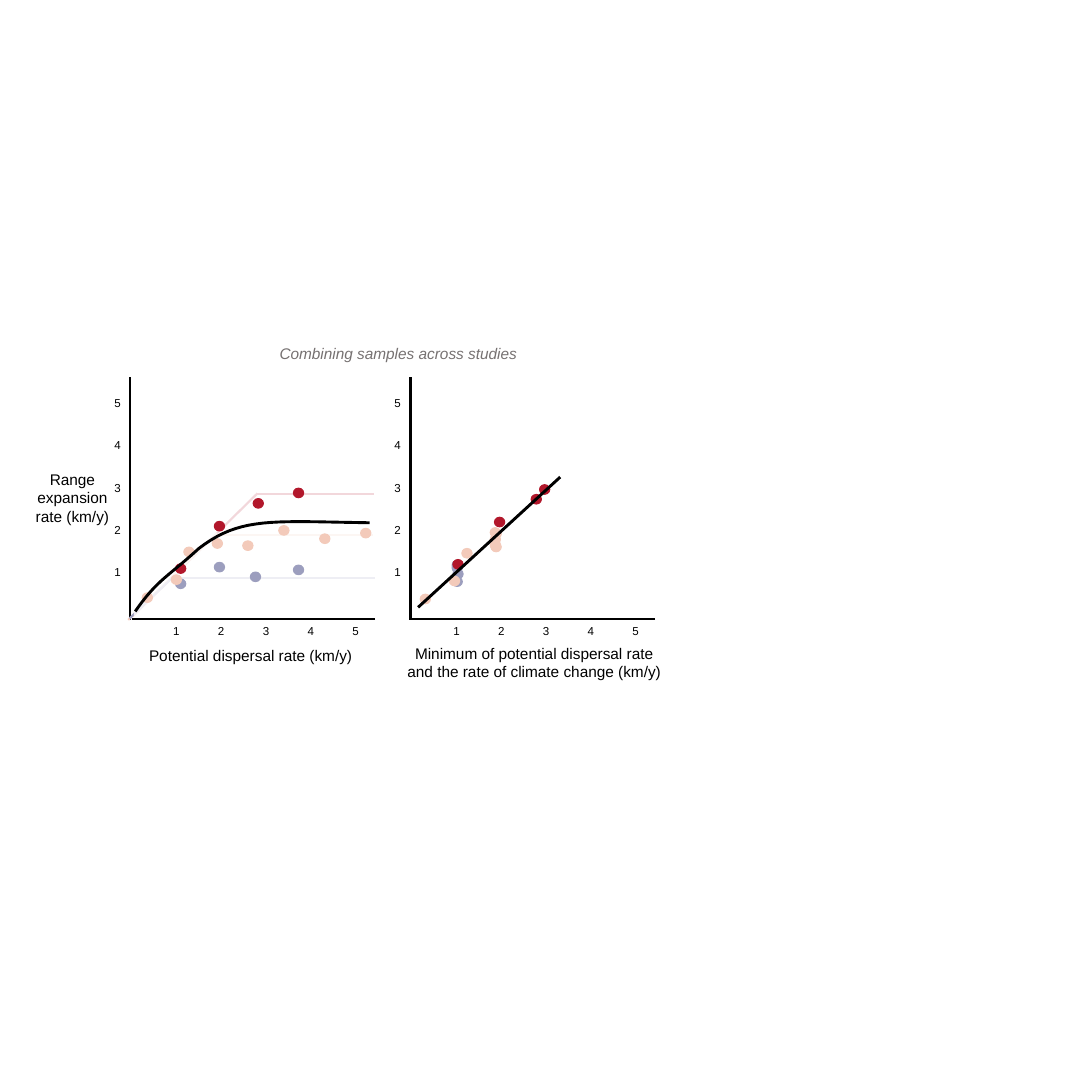
from lxml import etree
from pptx import Presentation
from pptx import util as u
from pptx.dml.color import RGBColor
from pptx.enum import shapes, text
from pptx.oxml import ns

Pt = u.Pt
COLORS = {"black": "000000", "white": "FFFFFF", "grey": "767171",
          "blue": "9C9EBE", "red": "B2172B", "peach": "F3CABA"}
RGB = {name: RGBColor.from_string(code) for name, code in COLORS.items()}

prs = Presentation()
prs.slide_width = prs.slide_height = Pt(1134)
slide = prs.slides.add_slide(prs.slide_layouts[6])


def add_text(lines, left, top, width, height, size=16, color="black",
             italic=False, align=text.PP_ALIGN.CENTER, wrap=True, gap=0):
    box = slide.shapes.add_textbox(Pt(left), Pt(top), Pt(width), Pt(height))
    frame = box.text_frame
    frame.word_wrap = wrap
    for i, line in enumerate(lines):
        paragraph = frame.paragraphs[0] if i == 0 else frame.add_paragraph()
        paragraph.alignment = align
        paragraph.space_after = Pt(gap)
        run = paragraph.add_run()
        run.text = line
        run.font.name = "Arial"
        run.font.size = Pt(size)
        run.font.italic = italic
        run.font.color.rgb = RGB[color]
    return frame


def add_line(x1, y1, x2, y2, color="black", weight=2.25):
    line = slide.shapes.add_connector(
        shapes.MSO_CONNECTOR.STRAIGHT, Pt(x1), Pt(y1), Pt(x2), Pt(y2))
    line.line.color.rgb = RGB[color]
    line.line.width = Pt(weight)
    etree.SubElement(line._element.spPr, ns.qn("a:effectLst"))


# Axes and tick labels of both panels
PANEL_STEP = 290.9
TICK_STEP = 46.5
ticks = [str(n) for n in range(1, 6)]
for shift in (0, PANEL_STEP):
    add_line(135.4 + shift, 391.7, 135.4 + shift, 643.7)
    add_line(389.5 + shift, 643, 136.8 + shift, 643)
    add_text(ticks[::-1], 111.6 + shift, 407.5, 20.9, 211, size=12,
             align=text.PP_ALIGN.LEFT, wrap=False, gap=29.6)
    x_ticks = add_text(["\t".join(ticks)], 172.8 + shift, 644.4, 227.5, 21.6,
                       size=12, align=text.PP_ALIGN.LEFT)
    tab_list = etree.SubElement(x_ticks.paragraphs[0]._p.get_or_add_pPr(),
                                ns.qn("a:tabLst"))
    for n in range(1, len(ticks)):
        etree.SubElement(tab_list, ns.qn("a:tab"),
                         pos=str(Pt(n * TICK_STEP)), algn="l")

# Titles
add_text(["Combining samples across studies"], 259.9, 354.2, 307.4, 26.6,
         color="grey", italic=True)
add_text(["Range expansion rate (km/y)"], 26.6, 484.6, 97.2, 65.5)
add_text(["Potential dispersal rate (km/y)"], 146.2, 667.4, 228.2, 26.6,
         wrap=False)
add_text(["Minimum of potential dispersal rate",
          "and the rate of climate change (km/y)"],
         414, 665.3, 281.5, 46.1, wrap=False)

# Expected rate of each study: a rise, then a plateau
for color, rise, plateau in (
        ("red", (138.2, 639.4, 267.1, 512.6), (266.4, 513.4, 388.8, 513.4)),
        ("peach", (133.2, 643.7, 225.4, 553.7), (223.9, 555.8, 387.4, 555.8)),
        ("blue", (134.6, 642.2, 180.7, 598.3), (180, 600.5, 389.5, 600.5))):
    add_line(*rise, color=color)
    add_line(*plateau, color=color)

# Translucent veil that fades the expected rates
veil = slide.shapes.add_shape(shapes.MSO_SHAPE.RECTANGLE,
                              Pt(139), Pt(511.9), Pt(254.2), Pt(129.6))
veil.shadow.inherit = False
veil.line.fill.background()
veil.fill.solid()
veil.fill.fore_color.rgb = RGB["white"]
veil_color = veil._element.spPr.find(".//" + ns.qn("a:srgbClr"))
etree.SubElement(veil_color, ns.qn("a:alpha"), val="83000")

# Samples: left and top of each dot, by panel and study
samples = (
    ("blue", [(182.2, 601.2), (259.9, 594), (304.6, 586.8), (222.5, 583.9)]),
    ("red", [(182.2, 585.4), (262.8, 517.7), (304.6, 506.9), (222.5, 541.4)]),
    ("peach", [(147.6, 615.6), (190.8, 568.1), (220.3, 559.4), (177.8, 596.9),
               (252, 561.6), (331.9, 554.4), (374.4, 548.6), (289.4, 545.8)]),
    ("blue", [(469.4, 599), (470.2, 591.1), (469.4, 584.6), (469.4, 581.8)]),
    ("red", [(470.2, 581), (551.5, 513.4), (560.2, 503.3), (513.4, 537.1)]),
    ("peach", [(436.3, 617), (479.5, 569.5), (509, 560.9), (466.6, 598.3),
               (509.8, 563), (509, 555.1), (509.8, 549.4), (509, 547.9)]),
)
for color, positions in samples:
    for left, top in positions:
        dot = slide.shapes.add_shape(shapes.MSO_SHAPE.OVAL, Pt(left), Pt(top),
                                     Pt(10.8), Pt(10.1))
        dot.shadow.inherit = False
        dot.fill.solid()
        dot.fill.fore_color.rgb = RGB[color]
        dot.line.color.rgb = RGB[color]
        dot.line.width = Pt(1)

# Linear trend on the right
add_line(434.2, 630.7, 581.8, 495.4, weight=3)

# Saturating trend on the left: two cubic arcs, sampled evenly
arcs = (((140.4, 635), (163.4, 601.9), (173.5, 599.8), (206.6, 569.5)),
        ((206.6, 569.5), (249.8, 536.4), (282.2, 541.4), (383.8, 542.9)))
STEPS = 20
trend_points = []
for arc in arcs:
    for step in range(1, STEPS + 1):
        t = step / STEPS
        weights = ((1 - t) ** 3, 3 * t * (1 - t) ** 2, 3 * t ** 2 * (1 - t), t ** 3)
        trend_points.append(tuple(
            Pt(sum(w * point[axis] for w, point in zip(weights, arc)))
            for axis in (0, 1)))
start_x, start_y = arcs[0][0]
builder = slide.shapes.build_freeform(Pt(start_x), Pt(start_y))
builder.add_line_segments(trend_points, close=False)
trend = builder.convert_to_shape()
trend.shadow.inherit = False
trend.fill.background()
trend.line.color.rgb = RGB["black"]
trend.line.width = Pt(3)

prs.save("out.pptx")
